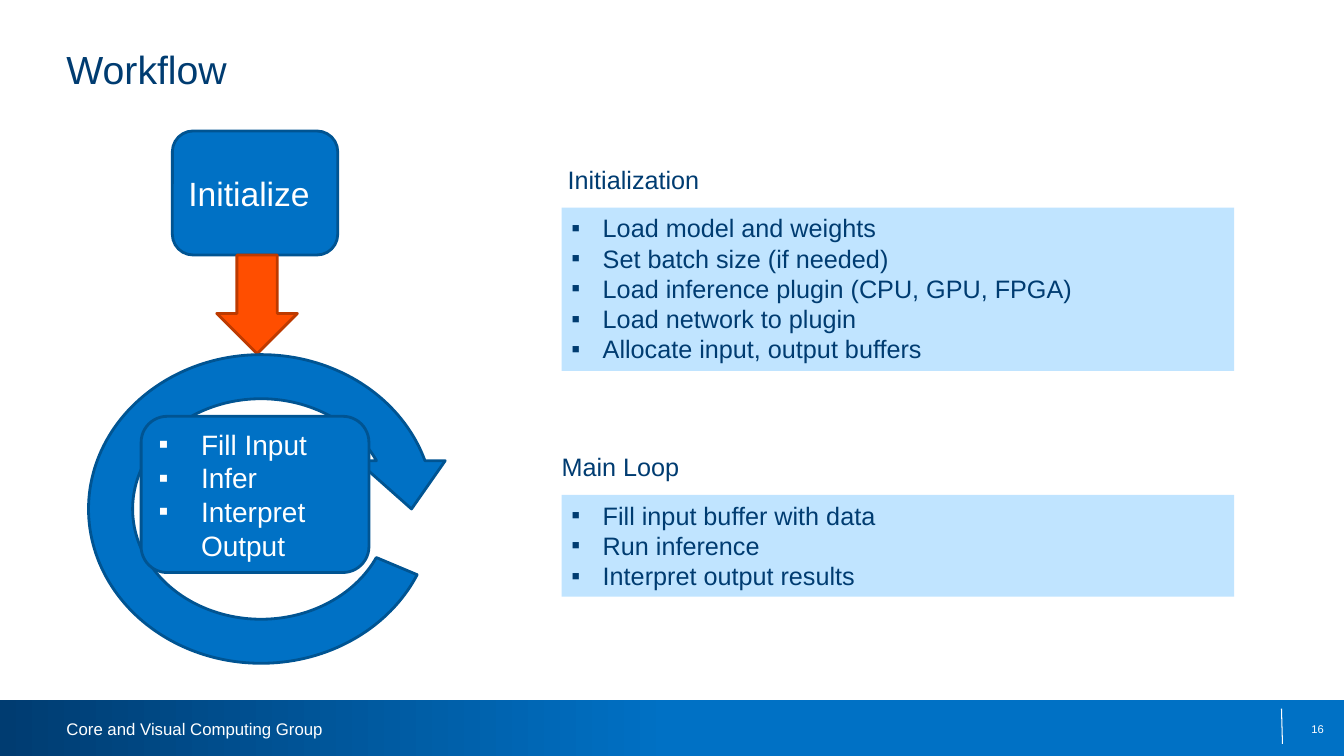
import pptx
import pptx.dml.color
import pptx.enum.shapes
import pptx.enum.text
import pptx.oxml
import pptx.oxml.ns
import pptx.util
from lxml import etree

Inches = pptx.util.Inches
Pt = pptx.util.Pt
MSO_SHAPE = pptx.enum.shapes.MSO_SHAPE
ANCHOR = pptx.enum.text.MSO_ANCHOR
ALIGN = pptx.enum.text.PP_ALIGN
qn = pptx.oxml.ns.qn

NAVY, BLUE, BLUE_EDGE, PALE = "003C71", "0071C5", "005492", "C0E4FF"
ORANGE, ORANGE_EDGE, WHITE = "FF4E00", "BD3A00", "FFFFFF"


def rgb(value):
    return pptx.dml.color.RGBColor.from_string(value)


def add_bullet(p, indent):
    """Give the paragraph a square bullet with a hanging indent in inches."""
    pPr = p._p.get_or_add_pPr()
    pPr.set("marL", str(Inches(indent)))
    pPr.set("indent", str(-Inches(indent)))
    etree.SubElement(pPr, qn("a:buFont")).set("typeface", "Arial")
    etree.SubElement(pPr, qn("a:buChar")).set("char", "▪")


def write_text(tf, text, size=18, color=NAVY, align=ALIGN.LEFT, anchor=ANCHOR.TOP,
               wrap=True, inset=None, bullet_indent=None):
    """Fill the frame with one paragraph per line of text."""
    tf.word_wrap = wrap
    tf.vertical_anchor = anchor
    if inset is not None:
        tf.margin_left = tf.margin_right = Inches(inset)
        tf.margin_top = tf.margin_bottom = Inches(inset)
    for i, line in enumerate(text.split("\n")):
        p = tf.add_paragraph() if i else tf.paragraphs[0]
        p.alignment = align
        if bullet_indent:
            p.line_spacing = Pt(1.2 * size)
            add_bullet(p, bullet_indent)
        r = p.add_run()
        r.text = line
        r.font.name = "Arial"
        r.font.size = Pt(size)
        r.font.color.rgb = rgb(color)


class SlideBuilder:
    """Holds the current slide and draws elements in its style."""

    def __init__(self, slide):
        self.shapes = slide.shapes

    def shape(self, kind, x, y, w, h, fill, edge=None):
        sp = self.shapes.add_shape(kind, Inches(x), Inches(y), Inches(w), Inches(h))
        sp.shadow.inherit = False
        sp.fill.solid()
        sp.fill.fore_color.rgb = rgb(fill)
        if edge:
            sp.line.color.rgb = rgb(edge)
            sp.line.width = Pt(2)
        else:
            sp.line.fill.background()
        return sp

    def label(self, text, x, y, w, h, **style):
        sp = self.shapes.add_textbox(Inches(x), Inches(y), Inches(w), Inches(h))
        write_text(sp.text_frame, text, inset=0, **style)

    def line(self, x1, y1, x2, y2, color, width):
        cxn = self.shapes.add_connector(pptx.enum.shapes.MSO_CONNECTOR.STRAIGHT,
                                        Inches(x1), Inches(y1), Inches(x2), Inches(y2))
        cxn.line.color.rgb = rgb(color)
        cxn.line.width = Pt(width)
        etree.SubElement(cxn._element.spPr, qn("a:effectLst"))

    def footer(self, text, number):
        bar = self.shape(MSO_SHAPE.RECTANGLE, 0, 6.94, 13.33, 0.56, BLUE)
        bar.fill.gradient()
        bar.fill.gradient_angle = 0
        for stop, position, color in zip(bar.fill.gradient_stops, (0, 0.5), (NAVY, BLUE)):
            stop.position = position
            stop.color.rgb = rgb(color)
        self.label(text, 0.66, 7.13, 2.6, 0.2, size=12, color=WHITE, wrap=False)
        self.line(12.71, 7.03, 12.72, 7.38, WHITE, 0.75)
        self.label(number, 10.02, 7.03, 3.11, 0.4, size=8, color=WHITE,
                   align=ALIGN.RIGHT, anchor=ANCHOR.MIDDLE)

    def step_list(self, heading, steps, heading_x, heading_w, y, h):
        self.label(heading, heading_x, y - 0.43, heading_w, 0.3, wrap=False)
        box = self.shape(MSO_SHAPE.RECTANGLE, 5.57, y, 6.67, h, PALE)
        write_text(box.text_frame, steps, bullet_indent=0.31)

    def stage(self, text, x, y, w, h, **style):
        box = self.shape(MSO_SHAPE.ROUNDED_RECTANGLE, x, y, w, h, BLUE, BLUE_EDGE)
        write_text(box.text_frame, text, color=WHITE, anchor=ANCHOR.MIDDLE, **style)

    def loop_arrow(self, x, y, w, h):
        arrow = self.shape(MSO_SHAPE.CIRCULAR_ARROW, x, y, w, h, BLUE, BLUE_EDGE)
        for i, value in enumerate((0.125, 11.42, 204.58, 13.71, 0.125)):
            arrow.adjustments[i] = value


def main():
    prs = pptx.Presentation()
    prs.slide_width, prs.slide_height = Inches(13.33), Inches(7.5)
    s = SlideBuilder(prs.slides.add_slide(prs.slide_layouts[6]))

    s.footer("Core and Visual Computing Group", "16")
    s.label("Workflow", 0.66, 0.45, 12, 1.27, size=28)

    s.step_list("Initialization",
                "Load model and weights\nSet batch size (if needed)\n"
                "Load inference plugin (CPU, GPU, FPGA)\nLoad network to plugin\n"
                "Allocate input, output buffers", 5.63, 1.39, 2.06, 1.62)
    s.step_list("Main Loop",
                "Fill input buffer with data\nRun inference\nInterpret output results",
                5.57, 1.2, 4.91, 1.01)

    s.stage("Initialize", 1.71, 1.3, 1.64, 1.23, size=24)
    s.shape(MSO_SHAPE.DOWN_ARROW, 2.15, 2.53, 0.8, 0.98, ORANGE, ORANGE_EDGE)
    s.loop_arrow(0.66, 3.3, 3.86, 3.5)
    s.stage("Fill Input\nInfer\nInterpret Output", 1.4, 4.13, 2.26, 1.55,
            size=20, bullet_indent=0.42)

    prs.save("out.pptx")


if __name__ == "__main__":
    main()
